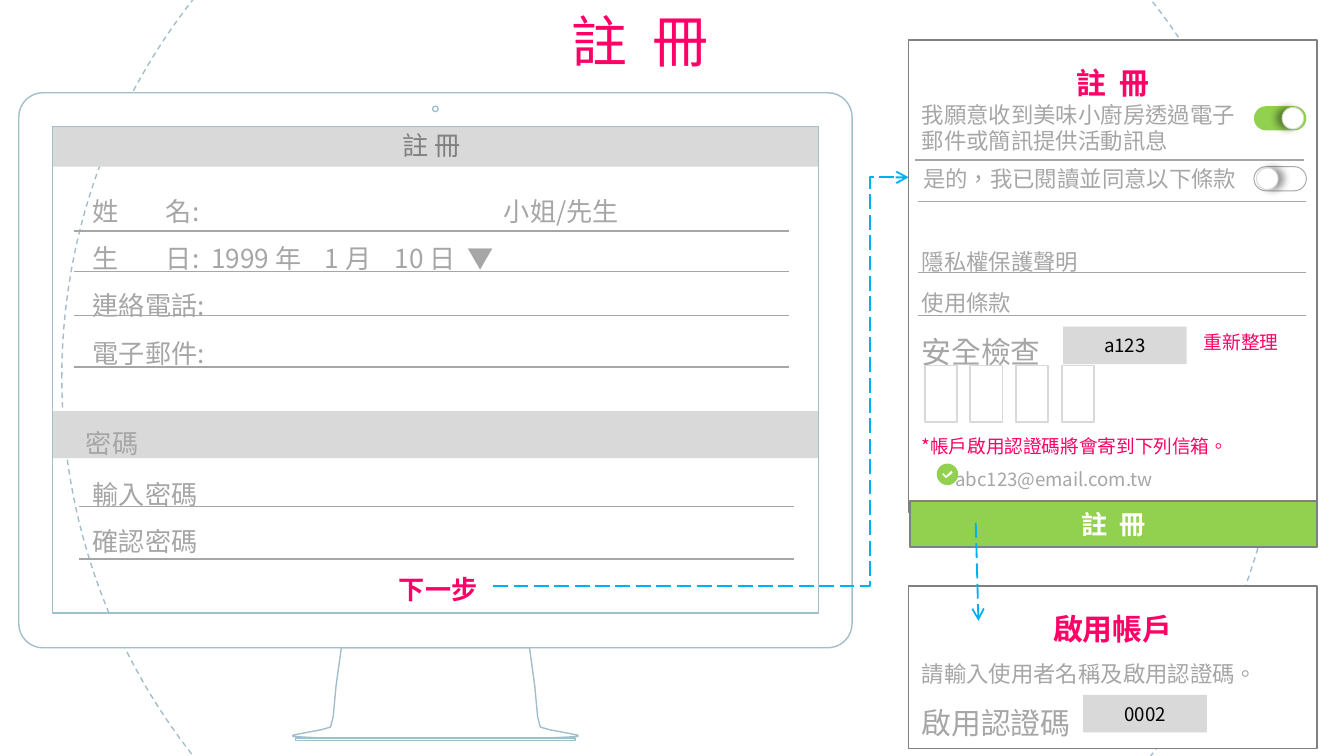
import math
import pptx
import pptx.util
import pptx.dml.color
import pptx.enum.dml
import pptx.enum.shapes
import pptx.enum.text
import pptx.oxml
import pptx.oxml.ns

Inches, Pt = pptx.util.Inches, pptx.util.Pt
KIND = pptx.enum.shapes.MSO_SHAPE
JOIN = pptx.enum.shapes.MSO_CONNECTOR
DASH = pptx.enum.dml.MSO_LINE
ALIGN = pptx.enum.text.PP_ALIGN
ANCHOR = pptx.enum.text.MSO_ANCHOR
FONT = "Noto Sans CJK SC"
COLORS = {
    "white": "FFFFFF", "black": "000000", "pink": "FF0066", "green": "92D050",
    "blue": "00B0F0", "frame": "A1BECC", "edge": "808080", "text": "A6A6A6",
    "pale": "D9D9D9",
}


def tint(name):
    return pptx.dml.color.RGBColor.from_string(COLORS[name])


def node(root, tag, **attrs):
    child = root.makeelement(pptx.oxml.ns.qn("a:" + tag), {})
    for key, value in attrs.items():
        child.set(key, str(value))
    root.append(child)
    return child


def say(shape, text, size=12, color="text", bold=False, align="LEFT", space=1.5,
        before=0, indent=0, gaps=()):
    frame = shape.text_frame
    para = frame.paragraphs[0] if not frame.text else frame.add_paragraph()
    para.alignment = getattr(ALIGN, align)
    para.line_spacing, para.space_before = space, Pt(before)
    props = para._p.get_or_add_pPr()
    props.set("marL", str(Inches(indent)))
    props.set("indent", "0")
    node(props, "buNone")
    parts = [(part, 0) for part in text.split("|")]
    for i, gap in enumerate(gaps):
        parts.insert(2 * i + 1, (" ", gap))
    for part, gap in parts:
        run = para.add_run()
        run.text = part
        font = run.font
        font.size, font.bold, font.name = Pt(size), bold, FONT
        font.color.rgb = tint(color)
        mark = run._r.get_or_add_rPr()
        mark.set("lang", "zh-TW")
        node(mark, "ea", typeface=FONT)
        if gap:
            mark.set("spc", str(int(gap * 100)))


def paint(shape, fill, line, width=1.0):
    shape.shadow.inherit = False
    if fill:
        shape.fill.solid()
        shape.fill.fore_color.rgb = tint(fill)
    else:
        shape.fill.background()
    if line:
        shape.line.color.rgb = tint(line)
        shape.line.width = Pt(width)
    else:
        shape.line.fill.background()
    return shape


def block(slide, x, y, w, h, fill=None, line=None, width=1.0, kind="RECTANGLE", anchor="MIDDLE"):
    shape = slide.shapes.add_shape(getattr(KIND, kind), Inches(x), Inches(y), Inches(w), Inches(h))
    shape.text_frame.word_wrap = True
    shape.text_frame.vertical_anchor = getattr(ANCHOR, anchor)
    return paint(shape, fill, line, width)


def label(slide, x, y, w, h, text, **form):
    box = slide.shapes.add_textbox(Inches(x), Inches(y), Inches(w), Inches(h))
    box.text_frame.word_wrap = False
    say(box, text, **form)


def seat(slide, index, x, y, w, h):
    shape = slide.placeholders[index]
    shape.left, shape.top, shape.width, shape.height = map(Inches, (x, y, w, h))
    frame = shape.text_frame
    frame.word_wrap, frame.auto_size = True, pptx.enum.text.MSO_AUTO_SIZE.NONE
    frame.vertical_anchor = ANCHOR.TOP
    slide.shapes._spTree.append(shape._element)
    return shape


def link(slide, start, end, color="text", width=0.75, kind="STRAIGHT", arrow=False):
    line = slide.shapes.add_connector(getattr(JOIN, kind), *map(Inches, start + end))
    line.line.color.rgb, line.line.width = tint(color), Pt(width)
    if arrow:
        line.line.dash_style = DASH.LONG_DASH
        node(line.line._get_or_add_ln(), "tailEnd", type="arrow")
    node(line._element.spPr, "effectLst")
    return line


def rules(slide, x, w, rows):
    for y in rows:
        link(slide, (x, y), (x + w, y))


def arc(x, y, r, start=0, sweep=360, steps=24):
    turns = [math.radians(start + sweep * i / steps) for i in range(steps + 1)]
    return [(x + r * math.cos(t), y + r * math.sin(t)) for t in turns]


def trace(slide, paths, fill, line=None):
    pen = None
    for path in paths:
        points = [(Inches(x), Inches(y)) for x, y in path]
        if pen:
            pen.move_to(*points[0])
        else:
            pen = slide.shapes.build_freeform(*points[0])
        pen.add_line_segments(points[1:], close=True)
    return paint(pen.convert_to_shape(), fill, line, 0.75)


def screen(slide, x, y, w, h):
    mid, r = x + w / 2, 0.18
    pane = [(x + 0.25, y + 0.25), (x + w - 0.25, y + 0.25),
            (x + w - 0.25, y + h - 0.26), (x + 0.25, y + h - 0.26)]
    case = (arc(x + r, y + r, r, 180, 90, 8) + arc(x + w - r, y + r, r, 270, 90, 8)
            + arc(x + w - r, y + h - r, r, 0, 90, 8) + arc(x + r, y + h - r, r, 90, 90, 8))
    stand = [(0.7, 0), (0.74, 0.29), (0.76, 0.51), (0.78, 0.59), (0.85, 0.61),
             (1.01, 0.64), (1.06, 0.65), (1.06, 0.66), (0.87, 0.67), (0.67, 0.67)]
    base = [(1.04, 0.67), (1.04, 0.69), (0.82, 0.69), (0.4, 0.69)]
    halves = [[(mid - a, y + h + b) for a, b in part]
              + [(mid + a, y + h + b) for a, b in reversed(part)] for part in (stand, base)]
    trace(slide, [arc(mid, y + 0.12, 0.02), pane, case] + halves, "white", "frame")


def form(slide, x, y, w, h):
    lock = block(slide, x + 0.23, y + 2.37, 5.83, 0.35, "pale")
    lock.text_frame.margin_left = Inches(0.27)
    say(lock, "密碼", size=14)
    head = block(slide, x + 0.18, y + 0.2, 5.83, 0.35, "pale")
    head.text_frame.margin_right = Inches(0.15)
    head.text_frame.margin_top = Inches(0.08)
    say(head, "註 冊", size=14, color="edge", align="CENTER", space=1)
    screen(slide, x, y, w, h)
    body = seat(slide, 1, x + 0.45, y + 0.6, 5.47, 3.28)
    say(body, "姓|名:|小姐/先生", size=14, gaps=(22, 160))
    say(body, "生|日:|1999 年|1 月|10 日|▼", size=14, gaps=(22, 3.1, 9.4, 9.4, 3.1))
    for text, before in (("連絡電話:", 0), ("電子郵件:", 0), ("輸入密碼", 50.4), ("確認密碼", 0)):
        say(body, text, size=14, before=before)
    rules(slide, x + 0.41, 5.32, [y + d for d in (1.03, 1.33, 1.66, 2.04)])
    rules(slide, x + 0.45, 5.32, [y + d for d in (3.08, 3.47)])
    label(slide, x + 2.73, y + 3.53, 0.79, 0.34, "下一步", size=14, color="pink", bold=True, space=1)


def switch(slide, x, y, w, h, on):
    track = block(slide, x, y, w, h, "green" if on else "white", None if on else "text", 0.5,
                  "ROUNDED_RECTANGLE")
    track.adjustments[0] = 0.5
    left = x + w - 0.18 if on else x + 0.02
    knob = block(slide, left, y + 0.01, 0.16, 0.16, "white", "pale", 0.5, "OVAL")
    glow = knob._element.spPr.find(pptx.oxml.ns.qn("a:effectLst"))
    shade = node(glow, "outerShdw", blurRad=Pt(4), dist=Pt(3), dir=10800000 if on else 0,
                 algn="ctr", rotWithShape=0)
    node(node(shade, "srgbClr", val=COLORS["black"]), "alpha", val=40000)


def code(slide, x, y, text):
    box = block(slide, x, y, 0.92, 0.28, "pale")
    say(box, text, size=10, color="black", align="CENTER", space=1)


def tick(slide, x, y, r):
    check = [(-0.04, 0), (-0.03, -0.01), (-0.01, 0.01), (0.03, -0.03), (0.04, -0.01), (-0.01, 0.03)]
    trace(slide, [arc(x, y, r), [(x + a, y + b) for a, b in check]], "green")


def signup(slide, x, y, w, h):
    panel = block(slide, x, y, w, h, "white", "edge", anchor="TOP")
    say(panel, "註|冊", size=16, color="pink", bold=True, align="CENTER", gaps=(3.6,))
    say(panel, "我願意收到美味小廚房透過電子", space=1)
    say(panel, "郵件或簡訊提供活動訊息", space=1)
    say(panel, "隱私權保護聲明", before=43.2)
    say(panel, "使用條款")
    say(panel, "安全檢查", size=16)
    say(panel, "*帳戶啟用認證碼將會寄到下列信箱。", size=10, color="pink", before=28.8)
    say(panel, "abc123@email.com.tw", size=10, indent=0.25)
    button = block(slide, x + 0.01, y + 3.43, w - 0.01, 0.34, "green", "edge")
    say(button, "註|冊", size=14, color="white", bold=True, align="CENTER", space=1, gaps=(3.1,))
    rules(slide, x + 0.05, 2.89, [y + 0.89])
    for i in range(4):
        block(slide, x + 0.12 + i * 0.34, y + 2.42, 0.24, 0.42, "white", "pale")
    code(slide, x + 1.15, y + 2.13, "a123")
    label(slide, x + 2.1, y + 2.11, 0.76, 0.3, "重新整理", size=10, color="pink", space=1)
    label(slide, x + 0.01, y + 0.88, 2.56, 0.3, "是的，我已閱讀並同意以下條款", space=1)
    switch(slide, x + 2.57, y + 0.94, 0.39, 0.18, False)
    switch(slide, x + 2.57, y + 0.49, 0.39, 0.18, True)
    rules(slide, x + 0.07, 2.89, [y + d for d in (1.2, 1.73, 2.05)])
    tick(slide, x + 0.29, y + 3.23, 0.08)


def verify(slide, x, y, w, h):
    panel = block(slide, x, y, w, h, "white", "edge", anchor="TOP")
    say(panel, "啟用帳戶", size=16, color="pink", bold=True, align="CENTER")
    say(panel, "請輸入使用者名稱及啟用認證碼。")
    say(panel, "啟用認證碼", size=16)
    code(slide, x + 1.3, y + 0.81, "0002")


def main():
    deck = pptx.Presentation()
    deck.slide_width = Inches(10)
    deck.slide_height = deck.slide_width * 9 // 16
    slide = deck.slides.add_slide(deck.slide_layouts[1])
    ring = block(slide, 0.46, -1.73, 9.08, 9.08, line="frame", width=0.75, kind="OVAL")
    ring.line.dash_style = DASH.DASH
    verify(slide, 6.76, 4.36, 3.04, 1.21)
    title = seat(slide, 0, 3.98, 0, 1.57, 0.61)
    say(title, "註|冊", size=30, color="pink", align="CENTER", space=1, gaps=(6.7,))
    form(slide, 0.14, 0.69, 6.2, 4.13)
    signup(slide, 6.76, 0.3, 3.04, 3.51)
    path = link(slide, (3.67, 4.36), (6.76, 1.32), "blue", 1, "ELBOW", True)
    bend = path._element.spPr.find(pptx.oxml.ns.qn("a:prstGeom"))
    node(bend.get_or_add_avLst(), "gd", name="adj1", fmla="val 90800")
    link(slide, (7.26, 3.89), (7.28, 4.62), "blue", 1, arrow=True)
    deck.save("out.pptx")


if __name__ == "__main__":
    main()
